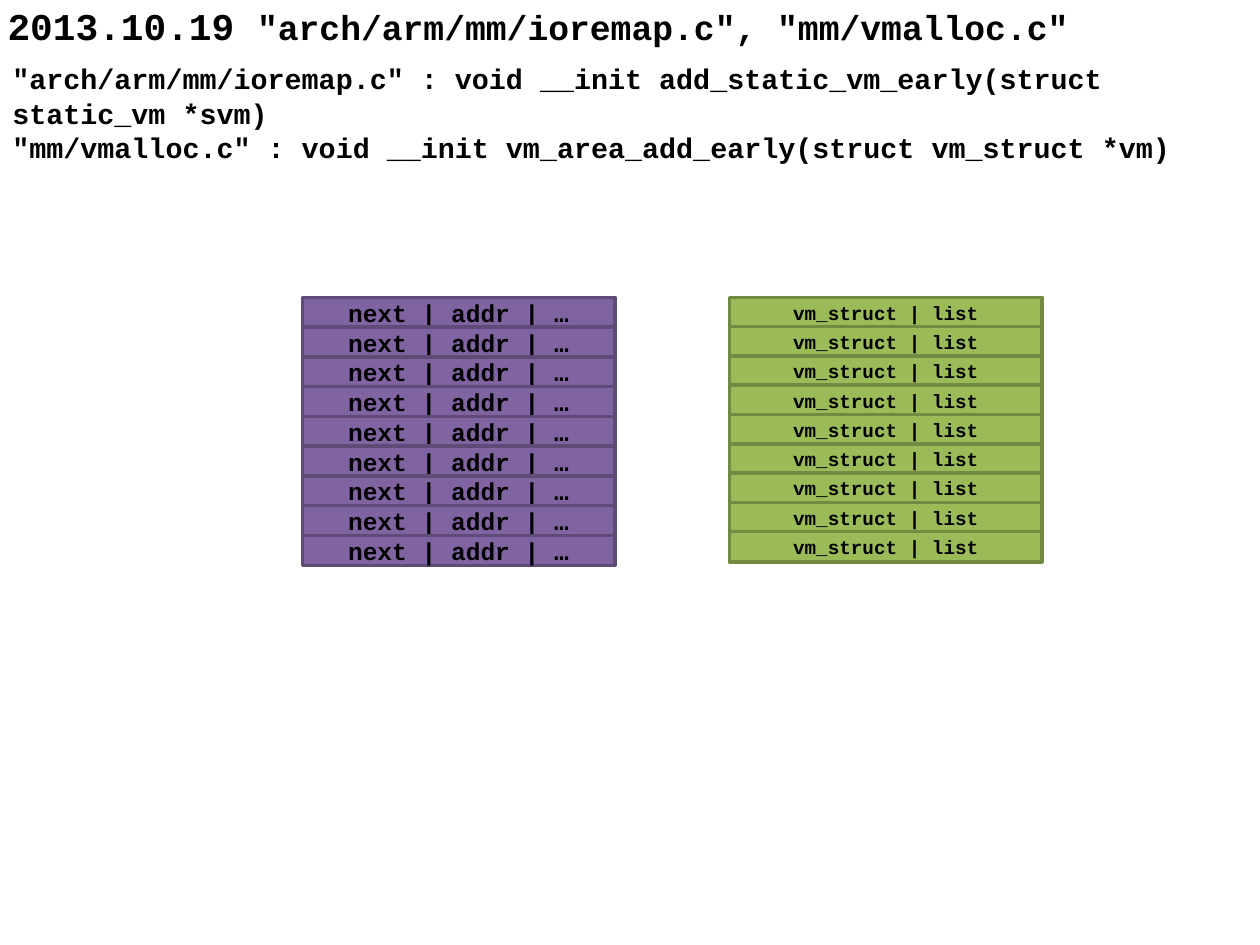
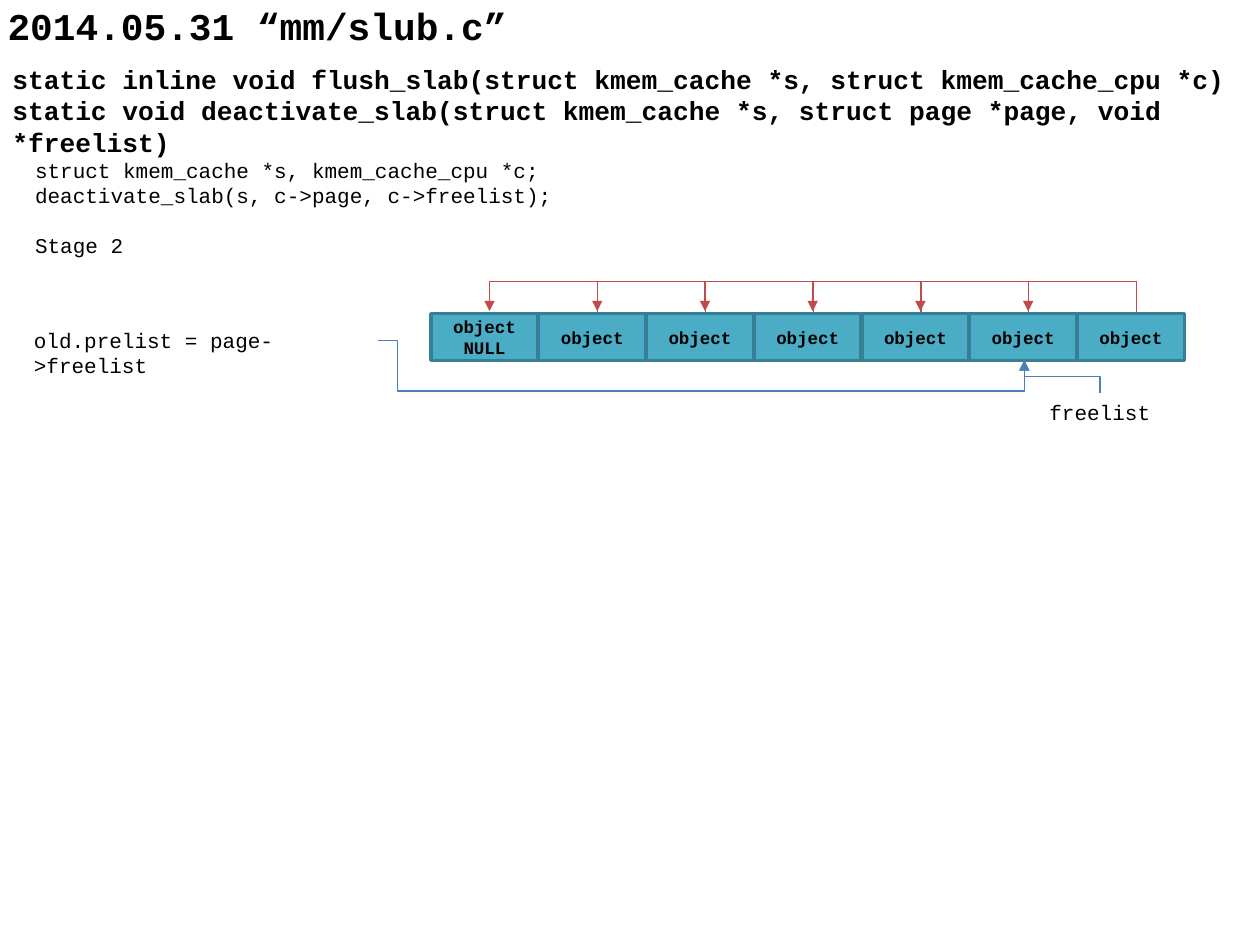
from lxml.etree import SubElement
from pptx import Presentation
from pptx.dml.color import RGBColor
from pptx.enum.shapes import MSO_CONNECTOR, MSO_SHAPE
from pptx.enum.text import MSO_ANCHOR, PP_ALIGN
from pptx.oxml.ns import qn
from pptx.util import Inches, Pt

FONT = "Courier New"
COLORS = {
    "text": "000000",
    "list_fill": "8064A2", "list_line": "5F4A78",
    "static_fill": "9BBB59", "static_line": "738A42",
    "object_fill": "4BACC6", "object_line": "377F92",
    "pointer": "4B7EBC", "link": "BF4C48",
}
TITLE_LAYOUT = 5


def color(name):
    return RGBColor.from_string(COLORS[name])


def add_run(paragraph, text, size=12, bold=False):
    run = paragraph.add_run()
    run.text = text
    run.font.name = FONT
    run.font.size = Pt(size)
    run.font.bold = bold
    run.font.color.rgb = color("text")


class Deck:
    """Holds the presentation style and the current slide."""

    def __init__(self):
        self.presentation = Presentation()
        self.presentation.slide_width = Inches(10)
        self.presentation.slide_height = Inches(7.5)
        self.slide = None

    def new_slide(self, *title_runs):
        layout = self.presentation.slide_layouts[TITLE_LAYOUT]
        self.slide = self.presentation.slides.add_slide(layout)
        title = self.slide.shapes.title
        title.left, title.top = Inches(-0.04), Inches(-0.03)
        title.width, title.height = Inches(10.04), Inches(0.39)
        title.text_frame.vertical_anchor = MSO_ANCHOR.TOP
        paragraph = title.text_frame.paragraphs[0]
        paragraph.alignment = PP_ALIGN.LEFT
        for text, size in title_runs:
            add_run(paragraph, text, size, bold=True)

    def fill_text(self, frame, lines, size, bold, align=PP_ALIGN.LEFT):
        frame.word_wrap = True
        for index, line in enumerate(lines):
            paragraph = frame.add_paragraph() if index else frame.paragraphs[0]
            paragraph.alignment = align
            add_run(paragraph, line, size, bold)

    def text_box(self, left, top, width, height, lines, size=12, bold=False):
        box = self.slide.shapes.add_textbox(
            Inches(left), Inches(top), Inches(width), Inches(height))
        self.fill_text(box.text_frame, lines, size, bold)
        return box

    def cell(self, shapes, left, top, width, height, lines, size, style):
        cell = shapes.add_shape(
            MSO_SHAPE.RECTANGLE,
            Inches(left), Inches(top), Inches(width), Inches(height))
        cell.shadow.inherit = False
        cell.fill.solid()
        cell.fill.fore_color.rgb = color(f"{style}_fill")
        cell.line.color.rgb = color(f"{style}_line")
        cell.line.width = Pt(2)
        cell.text_frame.vertical_anchor = MSO_ANCHOR.MIDDLE
        self.fill_text(cell.text_frame, lines, size, True, PP_ALIGN.CENTER)

    def column(self, left, top, pitch, count, text, size, style):
        for row in range(count):
            self.cell(self.slide.shapes, left, top + row * pitch, 2.48, 0.24,
                      [text], size, style)

    def arrow(self, start, end, line_color, *bends):
        """Elbow arrow; bends are fractions of its extent."""
        connector = self.slide.shapes.add_connector(
            MSO_CONNECTOR.ELBOW, *map(Inches, start + end))
        connector.line.color.rgb = color(line_color)
        connector.line.width = Pt(0.75)
        properties = connector._element.spPr
        geometry = properties.find(qn("a:prstGeom"))
        geometry.set("prst", f"bentConnector{len(bends) + 2}")
        guides = geometry.find(qn("a:avLst"))
        if guides is None:
            guides = SubElement(geometry, qn("a:avLst"))
        for number, bend in enumerate(bends, 1):
            SubElement(guides, qn("a:gd"), name=f"adj{number}",
                       fmla=f"val {round(bend * 100000)}")
        SubElement(properties.find(qn("a:ln")), qn("a:tailEnd"), type="triangle")
        SubElement(properties, qn("a:effectLst"))
        return connector

    def upward_arrow(self, start, end, line_color, rise):
        """Leaves upwards, turns after the rise, then meets the end vertically."""
        (x1, y1), (x2, y2) = start, end
        middle_x, middle_y = (x1 + x2) / 2, (y1 + y2) / 2
        half_width, half_height = (y1 - y2) / 2, (x1 - x2) / 2
        connector = self.arrow(
            (middle_x - half_width, middle_y + half_height),
            (middle_x + half_width, middle_y - half_height),
            line_color, rise / (y1 - y2))
        connector._element.spPr.find(qn("a:xfrm")).set("rot", str(270 * 60000))


def build_vm_slide(deck):
    deck.new_slide(("2013.10.19 ", 21.6),
                   ('"arch/arm/mm/ioremap.c", "mm/vmalloc.c"', 19.8))
    deck.text_box(0, 0.44, 10, 0.53, [
        '"arch/arm/mm/ioremap.c" : void __init add_static_vm_early(struct static_vm *svm)',
        '"mm/vmalloc.c" : void __init vm_area_add_early(struct vm_struct *vm)',
    ], size=16.2, bold=True)

    # The two lists side by side
    bottom_row, rows = 8, 9
    deck.column(2.4, 2.36, (4.25 - 2.36) / bottom_row, rows,
                "next | addr | …", 14, "list")
    deck.column(5.79, 2.36, (4.22 - 2.36) / bottom_row, rows,
                "vm_struct | list", 11, "static")


def build_slab_slide(deck):
    deck.new_slide(("2014.05.31 “mm/slub.c”", 21.6))
    deck.text_box(0, 0.45, 10, 1, [
        "static inline void flush_slab(struct kmem_cache *s, struct kmem_cache_cpu *c)",
        "static void deactivate_slab(struct kmem_cache *s, struct page *page, void *freelist)",
    ], size=15, bold=True)
    stage = deck.text_box(0.18, 1.2, 4.8, 0.91, [
        "struct kmem_cache *s, kmem_cache_cpu *c;",
        "deactivate_slab(s, c->page, c->freelist);",
        "Stage 2",
    ])
    stage.text_frame.paragraphs[-1].space_before = Pt(14.4)

    # Row of objects
    objects = deck.slide.shapes.add_group_shape()
    count = 7
    pitch = (8.55 - 3.42) / (count - 1)
    for index in range(count):
        lines = ["object"] if index else ["object", "NULL"]
        deck.cell(objects.shapes, 3.42 + index * pitch, 2.49, 0.85, 0.37,
                  lines, 10, "object")

    # Pointers into the row
    deck.text_box(0.17, 2.55, 2.82, 0.3, ["old.prelist = page->freelist"])
    deck.text_box(8.23, 3.12, 1.02, 0.3, ["freelist"])
    deck.upward_arrow((8.73, 3.12), (8.13, 2.86), "pointer", rise=0.13)
    deck.arrow((3, 2.7), (8.13, 2.86), "pointer", 0.03, 2.53)

    # Each object links to the one before it
    for index in range(1, count):
        source = 3.89 + index * pitch
        deck.upward_arrow((source, 2.48), (source - 0.86, 2.47), "link", rise=0.25)


def main():
    deck = Deck()
    build_vm_slide(deck)
    build_slab_slide(deck)
    deck.presentation.save("out.pptx")


if __name__ == "__main__":
    main()
